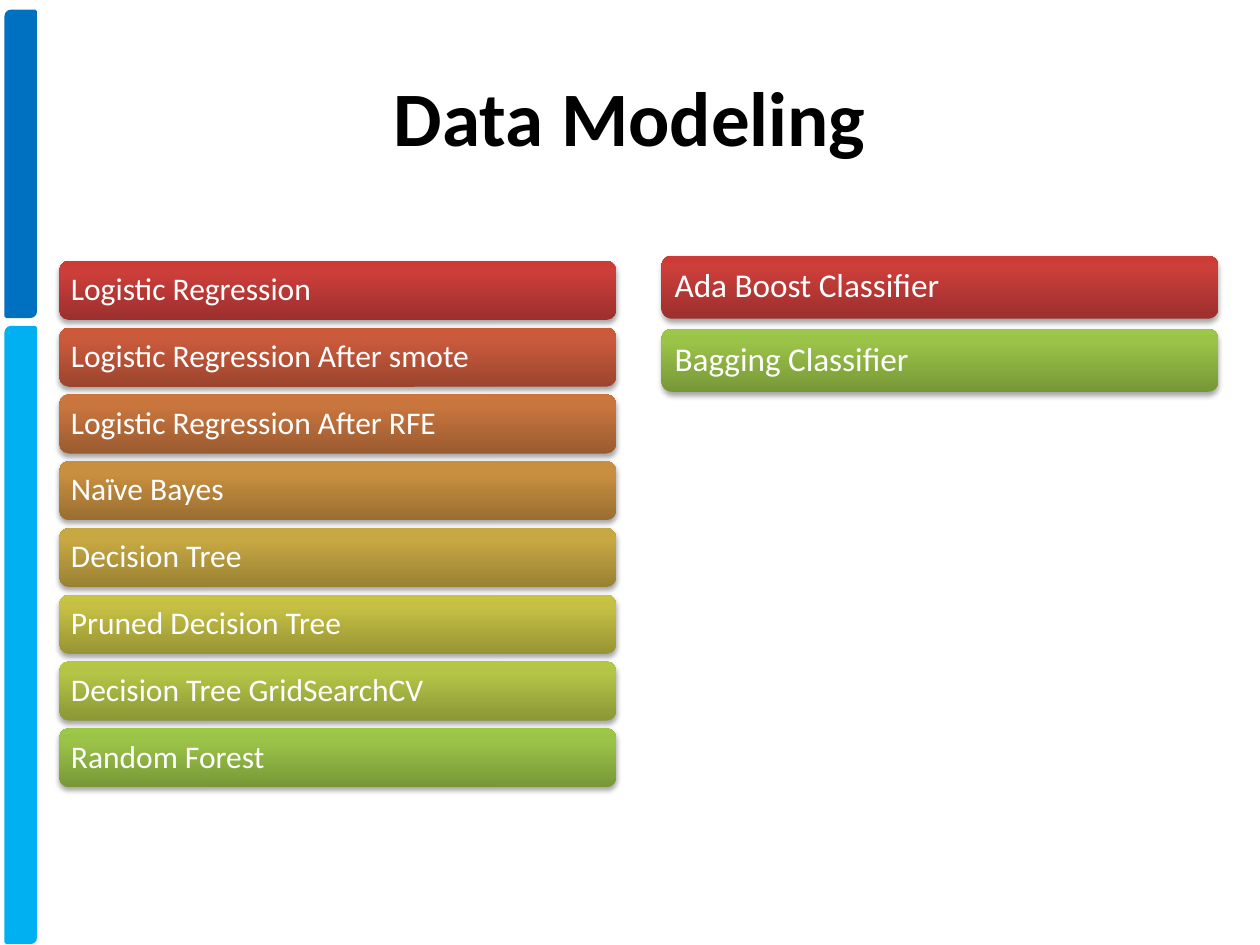
from lxml import etree
from pptx import Presentation
from pptx import util as u
from pptx.dml import color
from pptx.enum import shapes, text
from pptx.oxml import ns

COLORS = {
    "ink": "000000",
    "label": "FFFFFF",
    "rail_top": "0070C0",
    "rail_bottom": "00B0F0",
}
BAR_COLORS = {
    "red": ("9C2F2D", "CB3E3A", "CE3B37"),
    "vermilion": ("9B452E", "CA5A3C", "CD5939"),
    "orange": ("9A5A30", "C9753E", "CC753C"),
    "amber": ("9A6E31", "C88F40", "CB903E"),
    "gold": ("998133", "C7A842", "CAAA40"),
    "yellow": ("989434", "C5C044", "C9C342"),
    "lime": ("8A9736", "B3C446", "B5C844"),
    "green": ("779737", "9BC348", "9DC746"),
}
GRADIENT_STOPS = (0, 80, 100)
BASE_MODELS = [
    ("Logistic Regression", "red"),
    ("Logistic Regression After smote", "vermilion"),
    ("Logistic Regression After RFE", "orange"),
    ("Naïve Bayes", "amber"),
    ("Decision Tree", "gold"),
    ("Pruned Decision Tree", "yellow"),
    ("Decision Tree GridSearchCV", "lime"),
    ("Random Forest", "green"),
]
ENSEMBLE_MODELS = [("Ada Boost Classifier", "red"), ("Bagging Classifier", "green")]


def rgb(name):
    return color.RGBColor.from_string(COLORS[name])


def apply(target, **values):
    for key, value in values.items():
        setattr(target, key, value)


def sub(parent, tag, **attributes):
    child = etree.SubElement(parent, ns.qn(tag))
    for key, value in attributes.items():
        child.set(key, str(value))
    return child


def add_gradient(bar, hexes):
    bar.fill.gradient()
    gradient = bar.element.spPr.find(ns.qn("a:gradFill"))
    for child in list(gradient):
        gradient.remove(child)
    stops = sub(gradient, "a:gsLst")
    for percent, value in zip(GRADIENT_STOPS, hexes):
        sub(sub(stops, "a:gs", pos=percent * 1000), "a:srgbClr", val=value)
    sub(gradient, "a:lin", ang=270 * 60000, scaled=0)


def add_shadow(bar):
    bar.shadow.inherit = False
    effects = bar.element.spPr.find(ns.qn("a:effectLst"))
    shadow = sub(effects, "a:outerShdw", blurRad=u.Pt(3.1), dist=u.Pt(1.8),
                 dir=90 * 60000, rotWithShape=0)
    sub(sub(shadow, "a:srgbClr", val=COLORS["ink"]), "a:alpha", val=35000)


def add_title(slide, wording, left, top, width, height):
    title = slide.shapes.title
    apply(title, left=u.Inches(left), top=u.Inches(top),
          width=u.Inches(width), height=u.Inches(height))
    title.text_frame.text = wording
    title.text_frame.vertical_anchor = text.MSO_ANCHOR.MIDDLE
    heading = title.text_frame.paragraphs[0]
    heading.alignment = text.PP_ALIGN.CENTER
    font = heading.runs[0].font
    apply(font, name="Calibri", size=u.Pt(44), bold=True)
    font.color.rgb = rgb("ink")


def add_rail(slide, left, width, sections):
    for top, height, tone in sections:
        section = slide.shapes.add_shape(
            shapes.MSO_SHAPE.ROUND_2_DIAG_RECTANGLE,
            u.Inches(left), u.Inches(top), u.Inches(width), u.Inches(height))
        section.shadow.inherit = False
        section.fill.solid()
        section.fill.fore_color.rgb = rgb(tone)
        section.line.color.rgb = rgb(tone)
        section.line.width = u.Pt(2)


def add_model_list(slide, models, left, top, width, bar_height, pitch, size, inset):
    group = slide.shapes.add_group_shape()
    for row, (model, tone) in enumerate(models):
        bar = group.shapes.add_shape(
            shapes.MSO_SHAPE.ROUNDED_RECTANGLE,
            u.Inches(left), u.Inches(top + row * pitch),
            u.Inches(width), u.Inches(bar_height))
        add_gradient(bar, BAR_COLORS[tone])
        bar.line.fill.background()
        add_shadow(bar)
        frame = bar.text_frame
        apply(frame, text=model, word_wrap=True,
              vertical_anchor=text.MSO_ANCHOR.MIDDLE,
              margin_left=u.Inches(inset), margin_right=u.Inches(inset),
              margin_top=u.Inches(inset), margin_bottom=u.Inches(inset))
        label = frame.paragraphs[0]
        apply(label, alignment=text.PP_ALIGN.LEFT, line_spacing=0.9)
        font = label.runs[0].font
        apply(font, name="Calibri", size=u.Pt(size))
        font.color.rgb = rgb("label")


def main():
    deck = Presentation()
    apply(deck, slide_width=u.Inches(10), slide_height=u.Inches(7.5))
    slide = deck.slides.add_slide(deck.slide_layouts[5])
    add_rail(slide, 0.05, 0.23, [(0.09, 2.42, "rail_top"), (2.6, 4.88, "rail_bottom")])
    add_title(slide, "Data Modeling", 0.5, 0.29, 9, 1.25)
    add_model_list(slide, BASE_MODELS, left=0.47, top=2.07, width=4.42,
                   bar_height=0.47, pitch=0.53, size=18, inset=0.07)
    add_model_list(slide, ENSEMBLE_MODELS, left=5.25, top=2.03, width=4.42,
                   bar_height=0.5, pitch=0.58, size=19, inset=0.08)
    deck.save("out.pptx")


if __name__ == "__main__":
    main()
